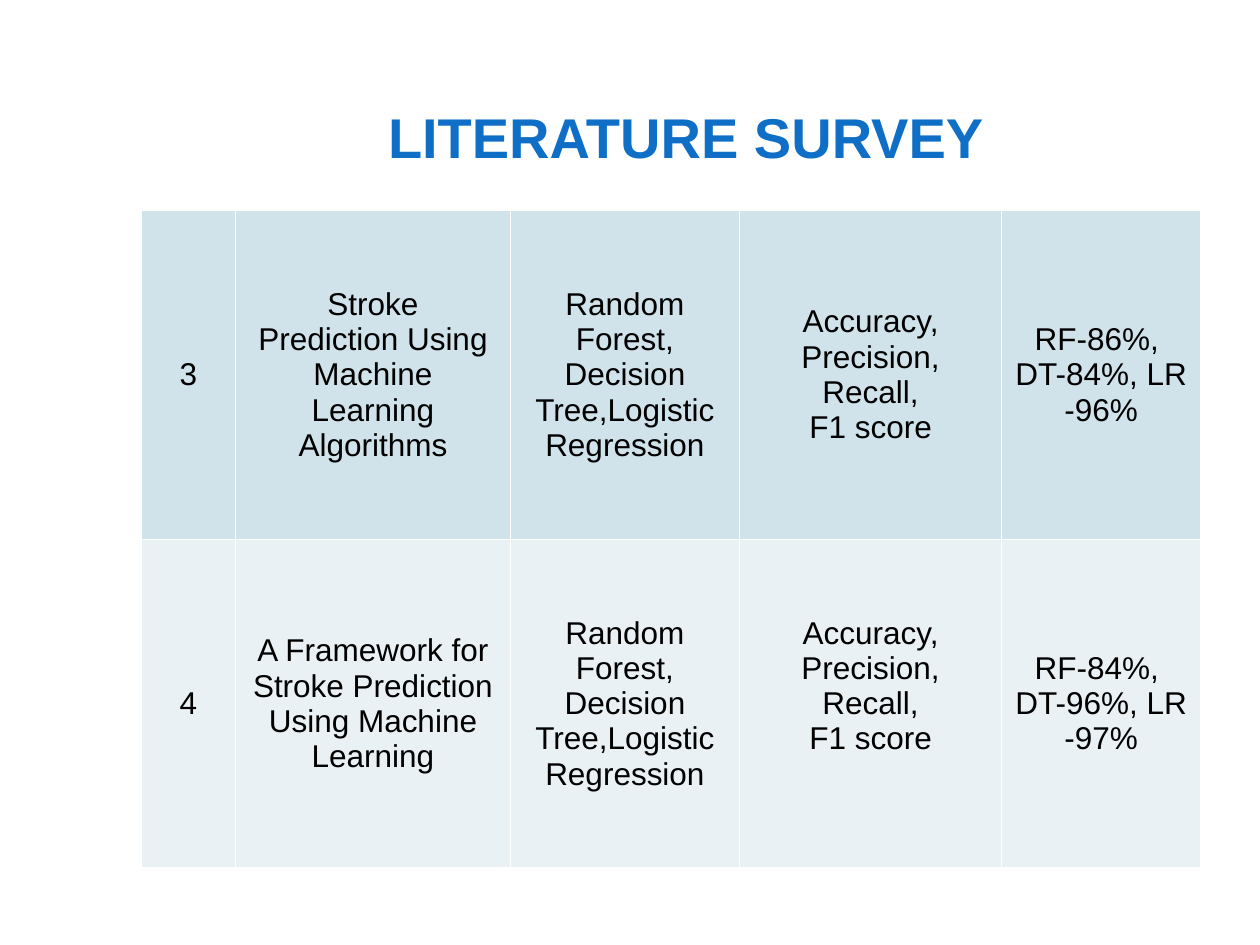
"""Build the literature survey slide with its table of stroke prediction studies."""
import lxml.etree
import pptx
import pptx.dml.color
import pptx.enum.text
import pptx.oxml.ns
import pptx.util

Inches = pptx.util.Inches
Pt = pptx.util.Pt
RGBColor = pptx.dml.color.RGBColor

TITLE_BLUE = RGBColor(0x0F, 0x6F, 0xC6)
BLACK = RGBColor(0x00, 0x00, 0x00)
WHITE = RGBColor(0xFF, 0xFF, 0xFF)
ROW_FILLS = [RGBColor(0xD0, 0xE3, 0xEA), RGBColor(0xE9, 0xF1, 0xF5)]

COLUMN_WIDTHS = [0.75, 2.18, 1.82, 2.08, 1.58]
ROW_HEIGHT = 2.61
WIDE_MARGIN_COLUMNS = (1, 2)
METHODS = "Random Forest, Decision Tree,Logistic Regression"
METRICS = "Accuracy,\nPrecision,\nRecall,\nF1 score"
STUDIES = [
    ["3", "Stroke\nPrediction Using Machine Learning Algorithms", METHODS,
     METRICS, "RF-86%, \nDT-84%, LR\n-96%"],
    ["4", "A Framework for Stroke Prediction Using Machine Learning", METHODS,
     METRICS, "RF-84%, \nDT-96%, LR\n-97%"],
]


def set_attributes(target, values):
    """Set each named attribute of the target."""
    for name, value in values.items():
        setattr(target, name, value)


def format_font(font, size, color, bold=False):
    """Apply the slide's typeface with a size, colour and weight."""
    set_attributes(font, {"name": "Arial", "size": Pt(size), "bold": bold})
    font.color.rgb = color


def add_title(slide, text):
    """Add the slide heading."""
    shape = slide.shapes.add_textbox(Inches(2.57), Inches(0.27), Inches(5.53), Inches(1.09))
    frame = shape.text_frame
    set_attributes(frame, {
        "word_wrap": True, "margin_left": Inches(0.51), "margin_top": Inches(0.55),
        "margin_right": 0, "margin_bottom": 0,
    })
    paragraph = frame.paragraphs[0]
    paragraph.space_before = Pt(1)
    run = paragraph.add_run()
    run.text = text
    format_font(run.font, 32, TITLE_BLUE, bold=True)


def add_borders(cell, color, width):
    """Draw a solid line on all four sides of a cell."""
    properties = cell._tc.get_or_add_tcPr()
    qualified = pptx.oxml.ns.qn
    for side in ("lnL", "lnR", "lnT", "lnB"):
        line = lxml.etree.SubElement(properties, qualified(f"a:{side}"), w=str(Pt(width)))
        fill = lxml.etree.SubElement(line, qualified("a:solidFill"))
        lxml.etree.SubElement(fill, qualified("a:srgbClr"), val=str(color))


def fill_cell(cell, text, fill_color, margins):
    """Write centred text into a cell and give it a fill and borders."""
    cell.text = text
    set_attributes(cell, {"vertical_anchor": pptx.enum.text.MSO_ANCHOR.MIDDLE, **margins})
    for paragraph in cell.text_frame.paragraphs:
        paragraph.alignment = pptx.enum.text.PP_ALIGN.CENTER
        for run in paragraph.runs:
            format_font(run.font, 18, BLACK)
    add_borders(cell, WHITE, 1)
    cell.fill.solid()
    cell.fill.fore_color.rgb = fill_color


def add_study_table(slide):
    """Add the table with one row for each study."""
    table = slide.shapes.add_table(
        len(STUDIES), len(COLUMN_WIDTHS), Inches(1.12), Inches(1.67),
        Inches(sum(COLUMN_WIDTHS)), Inches(ROW_HEIGHT * len(STUDIES)),
    ).table
    set_attributes(table, {"first_row": False, "horz_banding": False})
    for column, width in zip(table.columns, COLUMN_WIDTHS):
        column.width = Inches(width)
    sides = ("margin_left", "margin_top", "margin_right", "margin_bottom")
    wide_margins = dict.fromkeys(sides, Inches(0.13))
    for row_index, study in enumerate(STUDIES):
        table.rows[row_index].height = Inches(ROW_HEIGHT)
        for column_index, text in enumerate(study):
            margins = wide_margins if column_index in WIDE_MARGIN_COLUMNS else {}
            fill_cell(table.cell(row_index, column_index), text, ROW_FILLS[row_index], margins)
    table.cell(1, 3).margin_bottom = Inches(0.33)


def main():
    """Build and save the presentation."""
    presentation = pptx.Presentation()
    set_attributes(presentation, {"slide_width": Inches(10), "slide_height": Inches(7.5)})
    slide = presentation.slides.add_slide(presentation.slide_layouts[6])
    add_study_table(slide)
    add_title(slide, "LITERATURE SURVEY")
    presentation.save("out.pptx")


if __name__ == "__main__":
    main()
